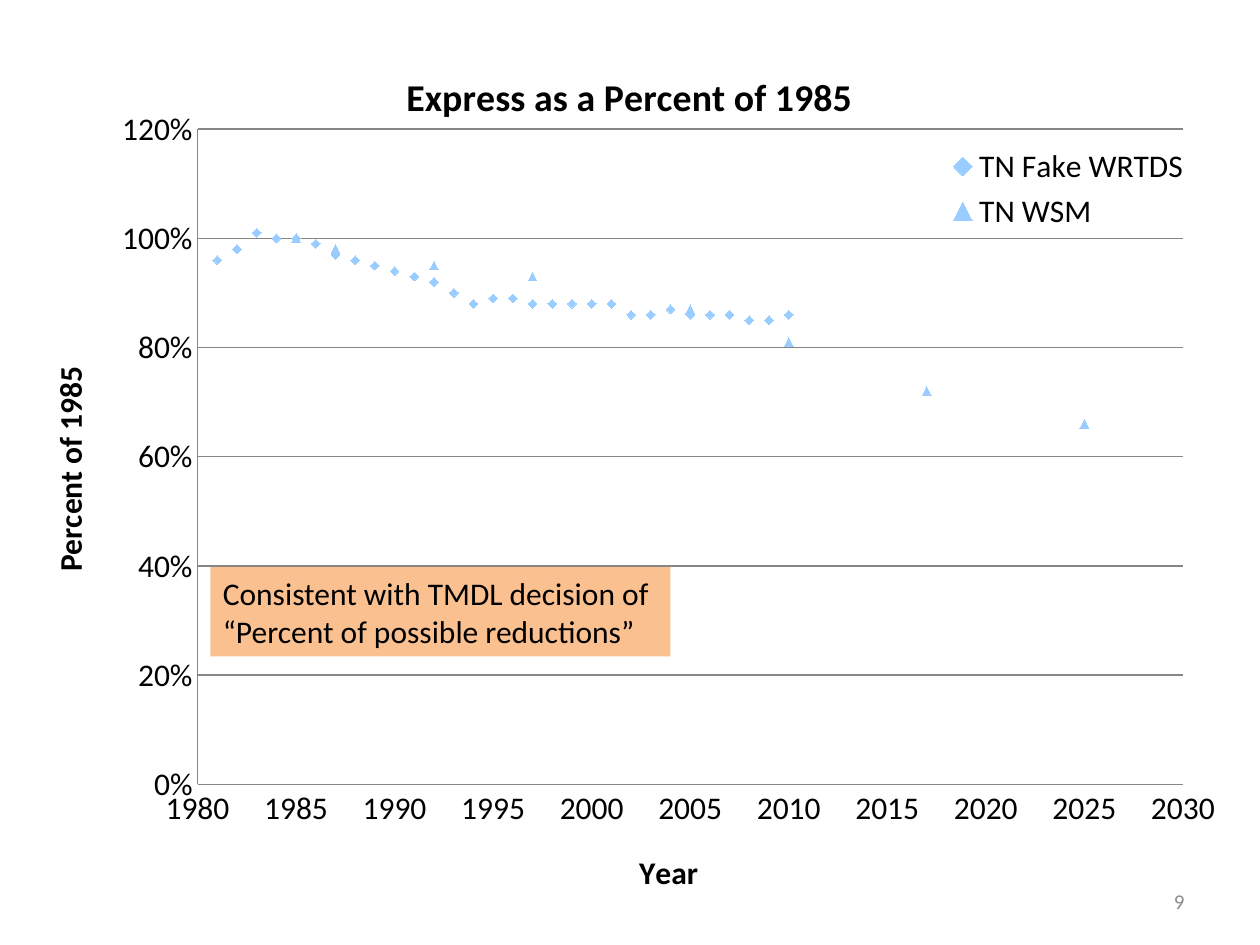
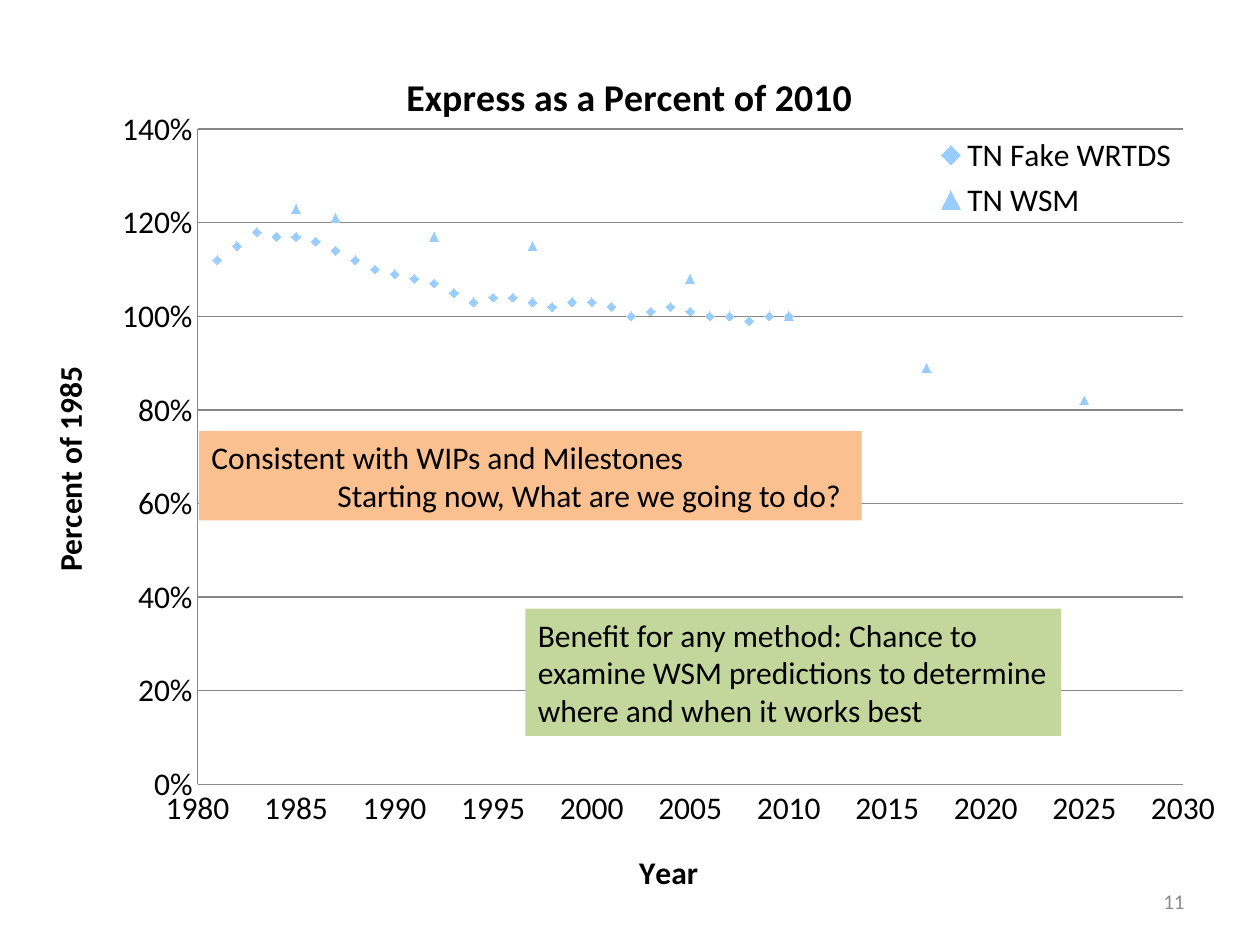
from lxml import etree
from pptx import Presentation
from pptx.chart.data import XyChartData
from pptx.dml.color import RGBColor
from pptx.enum.chart import XL_CHART_TYPE, XL_LEGEND_POSITION, XL_MARKER_STYLE, XL_TICK_MARK
from pptx.enum.shapes import MSO_SHAPE
from pptx.enum.text import MSO_ANCHOR, PP_ALIGN
from pptx.oxml.ns import qn
from pptx.util import Inches, Pt

SCATTER = XL_CHART_TYPE.XY_SCATTER
LEGEND_RIGHT = XL_LEGEND_POSITION.RIGHT
DIAMOND = XL_MARKER_STYLE.DIAMOND
TRIANGLE = XL_MARKER_STYLE.TRIANGLE
NO_TICK = XL_TICK_MARK.NONE
RECTANGLE = MSO_SHAPE.RECTANGLE
MIDDLE = MSO_ANCHOR.MIDDLE
LEFT = PP_ALIGN.LEFT
RIGHT = PP_ALIGN.RIGHT

BLACK = RGBColor(0, 0, 0)
NUMBER_GRAY = RGBColor(0x8C, 0x8C, 0x8C)
GRID_GRAY = RGBColor(0x86, 0x86, 0x86)
MARKER_BLUE = RGBColor(0x99, 0xCC, 0xFF)
ORANGE = RGBColor(0xFA, 0xC0, 0x90)
GREEN = RGBColor(0xC3, 0xD6, 0x9B)

FONT = "Calibri"
CHART_BOX = (0.26, 0.31, 9.48, 6.88)
NUMBER_BOX = (7.17, 6.95, 2.33, 0.4)
PLOT_LAYOUT = {"x": 0.138, "y": 0.104, "w": 0.825, "h": 0.756}
YEARS = (*range(1981, 2011), 2017, 2025)
WRTDS_YEARS = range(1981, 2011)
WSM_YEARS = (1985, 1987, 1992, 1997, 2005, 2010, 2017, 2025)

SLIDES = [
    {
        "number": "9",
        "title": "Express as a Percent of 1985",
        "maximum": 1.2,
        "legend": {"x": 0.762, "y": 0.117, "w": 0.21, "h": 0.112},
        "wrtds": (0.96, 0.98, 1.01, 1, 1, 0.99, 0.97, 0.96, 0.95, 0.94,
                  0.93, 0.92, 0.9, 0.88, 0.89, 0.89, 0.88, 0.88, 0.88, 0.88,
                  0.88, 0.86, 0.86, 0.87, 0.86, 0.86, 0.86, 0.85, 0.85, 0.86),
        "wsm": (1, 0.98, 0.95, 0.93, 0.87, 0.81, 0.72, 0.66),
        "callouts": [
            ((1.67, 4.5, 3.65, 0.71), ORANGE,
             [("Consistent with TMDL decision of", 0),
              ("“Percent of possible reductions”", 0)]),
        ],
    },
    {
        "number": "11",
        "title": "Express as a Percent of 2010",
        "maximum": 1.4,
        "legend": {"x": 0.752, "y": 0.104, "w": 0.21, "h": 0.112},
        "wrtds": (1.12, 1.15, 1.18, 1.17, 1.17, 1.16, 1.14, 1.12, 1.1, 1.09,
                  1.08, 1.07, 1.05, 1.03, 1.04, 1.04, 1.03, 1.02, 1.03, 1.03,
                  1.02, 1, 1.01, 1.02, 1.01, 1, 1, 0.99, 1, 1),
        "wsm": (1.23, 1.21, 1.17, 1.15, 1.08, 1, 0.89, 0.82),
        "callouts": [
            ((1.58, 3.42, 5.26, 0.71), ORANGE,
             [("Consistent with WIPs and Milestones", 0),
              ("Starting now, What are we going to do?", 1)]),
            ((4.17, 4.83, 4.25, 1.01), GREEN,
             [("Benefit for any method: Chance to examine WSM predictions "
               "to determine where and when it works best", 0)]),
        ],
    },
]


def inches(box):
    """Convert a box of numbers to lengths."""
    return [Inches(value) for value in box]


def apply_format(target, values):
    """Set every attribute in a dict of format values."""
    for name, value in values.items():
        setattr(target, name, value)


def format_font(font, size, color=BLACK, bold=False):
    """Apply the shared typeface with a size, colour and weight."""
    apply_format(font, {"name": FONT, "size": Pt(size), "bold": bold})
    font.color.rgb = color


def set_layout(element, fractions, inner=False):
    """Place a chart part at fractions of the chart area."""
    for old_layout in element.findall(qn("c:layout")):
        element.remove(old_layout)
    layout = etree.Element(qn("c:layout"))
    manual = etree.SubElement(layout, qn("c:manualLayout"))
    settings = [("layoutTarget", "inner")] if inner else []
    settings += [(f"{axis}Mode", "edge") for axis in "xy"]
    settings += [(name, str(value)) for name, value in fractions.items()]
    for name, value in settings:
        etree.SubElement(manual, qn(f"c:{name}")).set("val", value)
    overlay = element.find(qn("c:overlay"))
    if overlay is None:
        element.insert(0, layout)
    else:
        overlay.addprevious(layout)


def write_title(title, text, size, x, y):
    """Write a bold chart or axis title at a fraction of the chart area."""
    title.text_frame.text = text
    format_font(title.text_frame.paragraphs[0].runs[0].font, size, bold=True)
    set_layout(title._element, {"x": x, "y": y})


def format_line(line):
    """Draw a thin gray line."""
    line.color.rgb = GRID_GRAY
    line.width = Pt(0.75)


def format_axis(axis, values, number_format):
    """Set an axis scale, its labels and its thin gray line."""
    apply_format(axis, values)
    apply_format(axis, {"major_tick_mark": NO_TICK, "minor_tick_mark": NO_TICK})
    apply_format(axis.tick_labels, {"number_format": number_format,
                                    "number_format_is_linked": False})
    format_line(axis.format.line)


def clear_missing_points(series):
    """Leave years without a value empty in a series."""
    for point in list(series._element.iter(qn("c:pt"))):
        if point.findtext(qn("c:v")) in ("None", ""):
            point.getparent().remove(point)


def add_percent_chart(slide, box, content):
    """Add the scatter chart of loads relative to a base year."""
    data = XyChartData(number_format="0%")
    for name, years, values in (("TN Fake WRTDS", WRTDS_YEARS, content["wrtds"]),
                                ("TN WSM", WSM_YEARS, content["wsm"])):
        series = data.add_series(name)
        value_by_year = dict(zip(years, values))
        for year in YEARS:
            series.add_data_point(year, value_by_year.get(year))
    chart = slide.shapes.add_chart(SCATTER, *inches(box), data).chart
    format_font(chart.font, 18)
    set_layout(chart._chartSpace.chart.plotArea, PLOT_LAYOUT, inner=True)

    plot = chart.plots[0]
    plot.vary_by_categories = False
    for series, style in zip(plot.series, (DIAMOND, TRIANGLE)):
        clear_missing_points(series)
        series.smooth = False
        series.format.line.fill.background()
        apply_format(series.marker, {"style": style, "size": 5})
        series.marker.format.fill.solid()
        series.marker.format.fill.fore_color.rgb = MARKER_BLUE
        series.marker.format.line.fill.background()

    years, percents = chart.category_axis, chart.value_axis
    format_axis(years, {"minimum_scale": 1980, "maximum_scale": 2030,
                        "major_unit": 5, "has_major_gridlines": False}, "General")
    format_axis(percents, {"minimum_scale": 0, "maximum_scale": content["maximum"],
                           "major_unit": 0.2, "has_major_gridlines": True}, "0%")
    format_line(percents.major_gridlines.format.line)

    write_title(chart.chart_title, content["title"], 21.6, 0.307, 0.028)
    write_title(years.axis_title, "Year", 18, 0.503, 0.93)
    write_title(percents.axis_title, "Percent of 1985", 18, 0.008, 0.371)
    body = percents.axis_title.text_frame._txBody.bodyPr
    body.set("rot", "-5400000")
    body.set("vert", "horz")

    chart.has_legend = True
    apply_format(chart.legend, {"position": LEGEND_RIGHT, "include_in_layout": False})
    format_font(chart.legend.font, 18)
    set_layout(chart.legend._element, content["legend"])


def add_callout(slide, box, fill, lines):
    """Add a filled note whose lines are indented by whole inches."""
    shape = slide.shapes.add_shape(RECTANGLE, *inches(box))
    shape.shadow.inherit = False
    shape.fill.solid()
    shape.fill.fore_color.rgb = fill
    shape.line.fill.background()
    frame = shape.text_frame
    apply_format(frame, {"word_wrap": True, "vertical_anchor": MIDDLE})
    for index, (text, indent) in enumerate(lines):
        paragraph = frame.add_paragraph() if index else frame.paragraphs[0]
        paragraph.text = text
        paragraph.alignment = LEFT
        paragraph._p.get_or_add_pPr().set("marL", str(Inches(indent)))
        format_font(paragraph.font, 18)


def add_slide_number(slide, box, number):
    """Add the gray number at the lower right."""
    frame = slide.shapes.add_textbox(*inches(box)).text_frame
    apply_format(frame, {"word_wrap": True, "vertical_anchor": MIDDLE})
    paragraph = frame.paragraphs[0]
    paragraph.text = number
    paragraph.alignment = RIGHT
    format_font(paragraph.font, 12, NUMBER_GRAY)


def add_chart_slide(presentation, content):
    """Build one slide with its number, chart and callouts."""
    slide = presentation.slides.add_slide(presentation.slide_layouts[6])
    add_slide_number(slide, NUMBER_BOX, content["number"])
    add_percent_chart(slide, CHART_BOX, content)
    for box, fill, lines in content["callouts"]:
        add_callout(slide, box, fill, lines)


def main():
    """Build and save the presentation."""
    presentation = Presentation()
    apply_format(presentation, {"slide_width": Inches(10), "slide_height": Inches(7.5)})
    for content in SLIDES:
        add_chart_slide(presentation, content)
    presentation.save("out.pptx")


if __name__ == "__main__":
    main()
